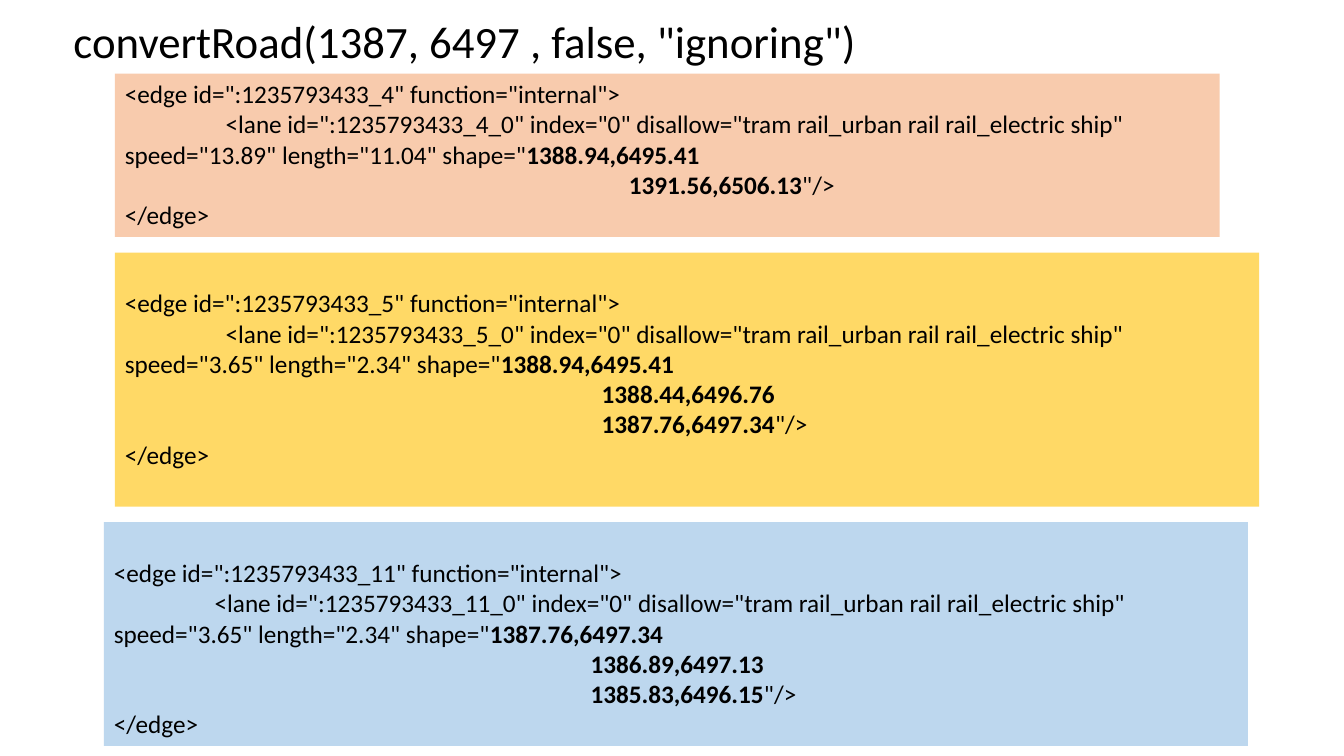
import pptx
import pptx.util
import pptx.dml.color
import pptx.enum.shapes
import pptx.enum.text


def color(code):
    return pptx.dml.color.RGBColor.from_string(code)


class Deck:
    """Style and current slide; lengths are percent of the slide's size."""
    font, ink = "Calibri", "000000"

    def __init__(self):
        self.prs = pptx.Presentation()
        self.prs.slide_width = pptx.util.Inches(13.33)
        self.prs.slide_height = pptx.util.Inches(7.5)
        self.slide = self.prs.slides.add_slide(self.prs.slide_layouts[6])

    def place(self, x, y, w, h):
        wide, high = self.prs.slide_width, self.prs.slide_height
        return [int(part * size / 100) for part, size in
                ((x, wide), (y, high), (w, wide), (h, high))]

    def fill_text(self, frame, lines, size):
        """Each line is (left indent, first-line indent, runs)."""
        frame.word_wrap = True
        frame.vertical_anchor = pptx.enum.text.MSO_ANCHOR.TOP
        for num, (left, first, runs) in enumerate(lines):
            para = frame.add_paragraph() if num else frame.paragraphs[0]
            para.alignment = pptx.enum.text.PP_ALIGN.LEFT
            props = para._p.get_or_add_pPr()
            props.set("marL", str(int(pptx.util.Inches(left))))
            props.set("indent", str(int(pptx.util.Inches(first))))
            for text, bold in runs:
                run = para.add_run()
                run.text = text
                run.font.name = self.font
                run.font.size = pptx.util.Pt(size)
                run.font.bold = bold
                run.font.color.rgb = color(self.ink)

    def title(self, area, text):
        box = self.slide.shapes.add_textbox(*self.place(*area))
        self.fill_text(box.text_frame, [(0, 0, [(text, False)])], 32)

    def panel(self, area, fill, lines, top):
        kind = pptx.enum.shapes.MSO_SHAPE.RECTANGLE
        box = self.slide.shapes.add_shape(kind, *self.place(*area))
        box.shadow.inherit = False
        box.fill.solid()
        box.fill.fore_color.rgb = color(fill)
        box.line.fill.background()
        box.text_frame.margin_top = pptx.util.Inches(top)
        self.fill_text(box.text_frame, lines, 18)


def edge(name, speed, length, points, indent):
    """Lines of one edge element, with its shape points in bold."""
    lane = (f'<lane id=":{name}_0" index="0" '
            'disallow="tram rail_urban rail rail_electric ship" '
            f'speed="{speed}" length="{length}" shape="')
    lines = [(0, 0, [(f'<edge id=":{name}" function="internal">', False)]),
             (0, 1, [(lane, False), (points[0], True)])]
    lines += [(indent, 0, [(point, True)]) for point in points[1:]]
    lines[-1][2].append(('"/>', False))
    return lines + [(0, 0, [("</edge>", False)])]


def main():
    deck = Deck()

    # Heading
    deck.title((4.73, 1.2, 82.95, 8.53),
               'convertRoad(1387, 6497 , false, "ignoring")')

    # Edge panels: left, width, height, fill, top margin, edge
    panels = [
        (8.55, 82.2, 21.6, "F8CBAD", 0.05,
         ("1235793433_4", "13.89", "11.04",
          ["1388.94,6495.41", "1391.56,6506.13"], 5)),
        (8.55, 85.13, 33.6, "FFD966", 0.35,
         ("1235793433_5", "3.65", "2.34",
          ["1388.94,6495.41", "1388.44,6496.76", "1387.76,6497.34"], 4.73)),
        (7.73, 85.13, 29.6, "BDD7EE", 0.35,
         ("1235793433_11", "3.65", "2.34",
          ["1387.76,6497.34", "1386.89,6497.13", "1385.83,6496.15"], 4.73)),
    ]
    y, gap = 9.73, 2.07
    for x, w, h, fill, top, data in panels:
        deck.panel((x, y, w, h), fill, edge(*data), top)
        y += h + gap

    deck.prs.save("out.pptx")


if __name__ == "__main__":
    main()
